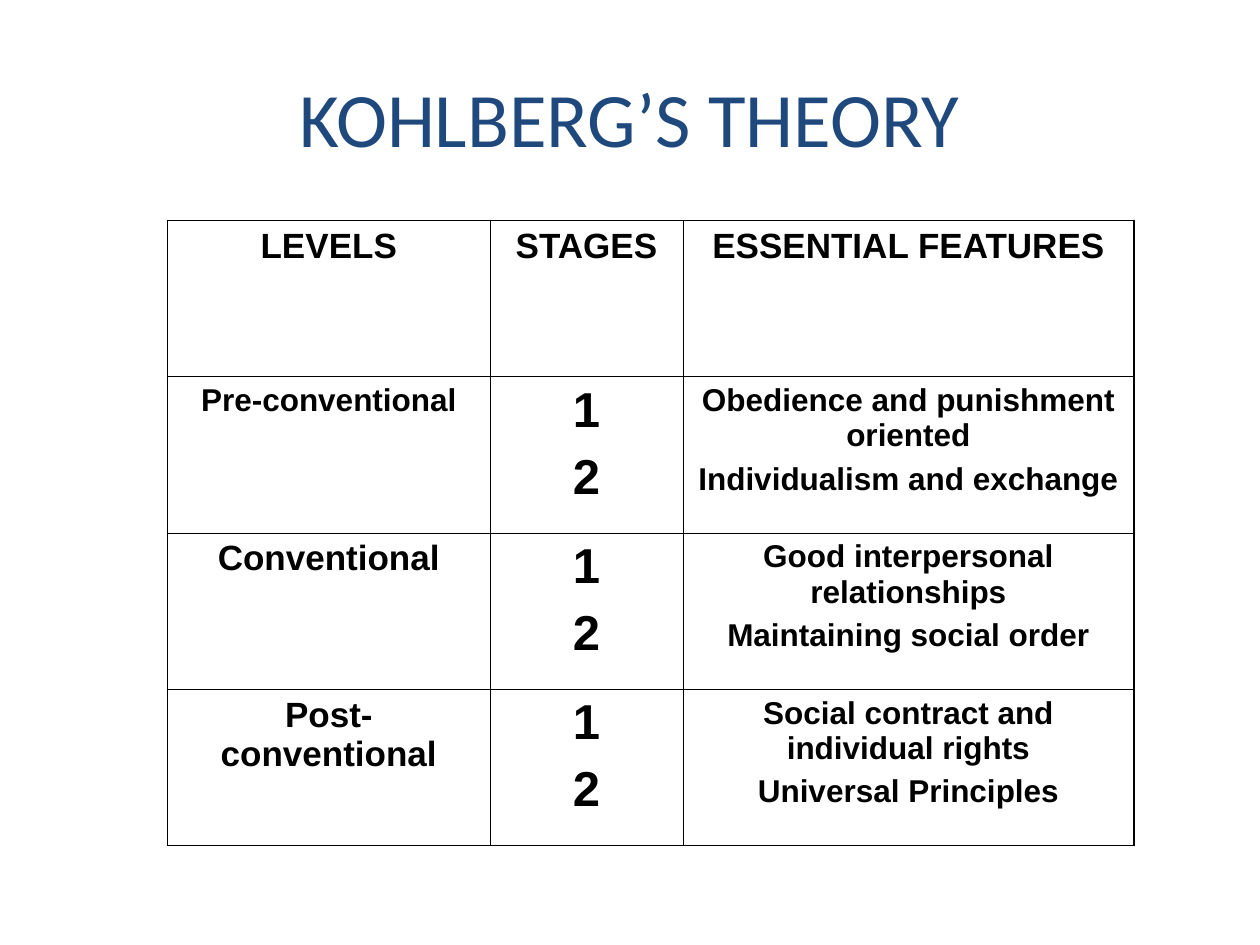
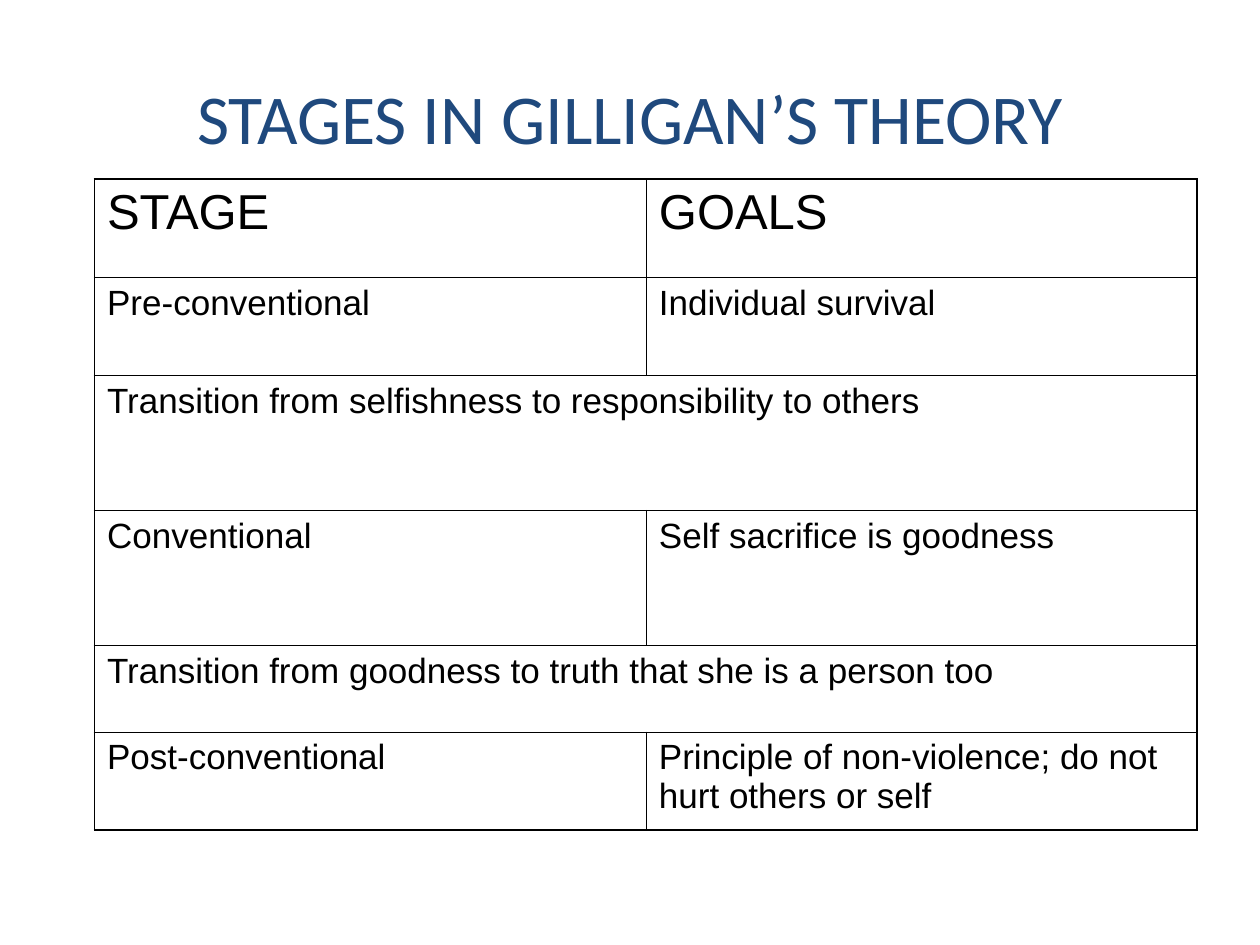
from lxml import etree
from pptx import Presentation
from pptx.dml.color import RGBColor
from pptx.enum import text
from pptx.oxml import ns
from pptx.util import Inches, Pt

COLORS = {"title": "1F497D", "ink": "000000", "paper": "FFFFFF"}
OUTER_LINE, INNER_LINE = 1.08, 0.45
CENTER, LEFT = text.PP_ALIGN.CENTER, text.PP_ALIGN.LEFT

SLIDES = [
    {
        "title": "KOHLBERG’S THEORY", "title_size": 44,
        "at": (1.33, 1.75), "columns": [2.56, 1.53, 3.58], "heights": [1.24] * 4,
        "align": CENTER, "bold": True,
        "sizes": [(20, 20, 20), (18, 28, 18), (20, 28, 18), (20, 28, 18)],
        "rows": [
            ("LEVELS", "STAGES", "ESSENTIAL FEATURES"),
            ("Pre-conventional", "1\n2",
             "Obedience and punishment oriented\nIndividualism and exchange"),
            ("Conventional", "1\n2",
             "Good interpersonal relationships\nMaintaining social order"),
            ("Post-conventional", "1\n2",
             "Social contract and individual rights\nUniversal Principles"),
        ],
    },
    {
        "title": "STAGES IN GILLIGAN’S THEORY", "title_size": 40,
        "at": (0.75, 1.42), "columns": [4.38, 4.37],
        "heights": [0.78, 0.78, 1.07, 1.07, 0.69, 0.78],
        "align": LEFT, "bold": False,
        "sizes": [(28, 28)] + [(20, 20)] * 5,
        # A row with a single text spans the whole table.
        "rows": [
            ("STAGE", "GOALS"),
            ("Pre-conventional", "Individual survival"),
            ("Transition from selfishness to responsibility to others",),
            ("Conventional", "Self sacrifice is goodness"),
            ("Transition from goodness to truth that she is a person too",),
            ("Post-conventional",
             "Principle of non-violence; do not hurt others or self"),
        ],
    },
]


def style_text(paragraph, align, font_name, size, color, bold=False):
    paragraph.alignment = align
    font = paragraph.font if not paragraph.runs else paragraph.runs[0].font
    for name, value in {"name": font_name, "size": Pt(size), "bold": bold}.items():
        setattr(font, name, value)
    font.color.rgb = RGBColor.from_string(COLORS[color])


def set_borders(cell, widths):
    """Draw the cell's edges; widths are points for left, right, top, bottom."""
    properties = cell._tc.get_or_add_tcPr()
    for index, (tag, width) in enumerate(zip(("lnL", "lnR", "lnT", "lnB"), widths)):
        line = etree.Element(ns.qn(f"a:{tag}"), w=str(Pt(width)))
        fill = etree.SubElement(line, ns.qn("a:solidFill"))
        etree.SubElement(fill, ns.qn("a:srgbClr"), val=COLORS["ink"])
        properties.insert(index, line)


presentation = Presentation()
presentation.slide_width, presentation.slide_height = Inches(10), Inches(7.5)

for content in SLIDES:
    slide = presentation.slides.add_slide(presentation.slide_layouts[6])

    title_box = slide.shapes.add_textbox(Inches(0.5), Inches(0.3), Inches(9), Inches(1.25))
    title_frame = title_box.text_frame
    title_frame.word_wrap = True
    title_frame.vertical_anchor = text.MSO_ANCHOR.MIDDLE
    title_frame.text = content["title"]
    style_text(title_frame.paragraphs[0], CENTER, "Calibri", content["title_size"], "title")

    columns, heights = content["columns"], content["heights"]
    left, top = content["at"]
    table = slide.shapes.add_table(
        len(heights), len(columns), Inches(left), Inches(top),
        Inches(sum(columns)), Inches(sum(heights))).table
    table.first_row = table.horz_banding = False
    for column, width in zip(table.columns, columns):
        column.width = Inches(width)
    for row, height in zip(table.rows, heights):
        row.height = Inches(height)

    for r, row_texts in enumerate(content["rows"]):
        if len(row_texts) == 1:
            table.cell(r, 0).merge(table.cell(r, len(columns) - 1))
        for c, cell_text in enumerate(row_texts):
            cell = table.cell(r, c)
            cell.fill.solid()
            cell.fill.fore_color.rgb = RGBColor.from_string(COLORS["paper"])
            on_edge = (c == 0, c == len(row_texts) - 1, r == 0, r == len(heights) - 1)
            set_borders(cell, [OUTER_LINE if edge else INNER_LINE for edge in on_edge])
            cell.text = cell_text
            size = content["sizes"][r][c]
            for paragraph in cell.text_frame.paragraphs:
                style_text(paragraph, content["align"], "Arial", size, "ink", content["bold"])
                paragraph.space_before = Pt(size / 4)

presentation.save("out.pptx")
